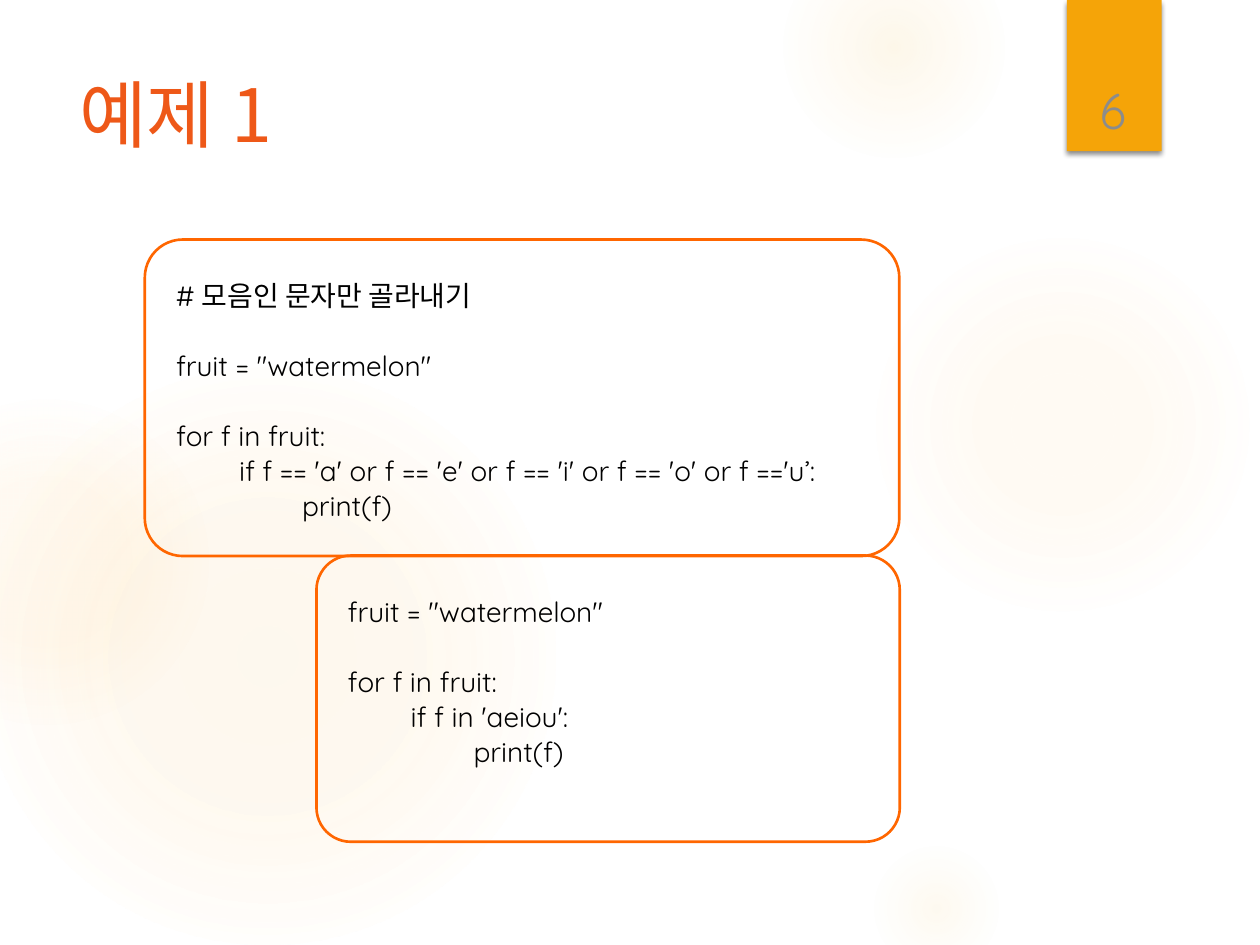
import pptx
import pptx.util
import pptx.dml.color
import pptx.enum.shapes
import pptx.enum.text
import pptx.oxml
import pptx.oxml.ns

Cm, Pt = pptx.util.Cm, pptx.util.Pt
RGBColor = pptx.dml.color.RGBColor
SHAPE = pptx.enum.shapes.MSO_SHAPE
ANCHOR = pptx.enum.text.MSO_ANCHOR
ALIGN = pptx.enum.text.PP_ALIGN
qn = pptx.oxml.ns.qn
NS = pptx.oxml.ns.nsdecls("a")

GLOW = RGBColor(0xFA, 0xC9, 0x6A)
GOLD = RGBColor(0xF5, 0xA4, 0x08)
TITLE = RGBColor(0xEE, 0x58, 0x18)
FRAME = RGBColor(0xFF, 0x66, 0x00)
BLACK = RGBColor(0, 0, 0)
GRAY = RGBColor(0x8C, 0x8C, 0x8C)
KOREAN, LATIN = "Noto Sans CJK KR", "Quicksand"

# Content: an empty code line becomes space above the next line
TITLE_TEXT = "예제 1"
PAGE = "6"
LONG_CODE = [
    "# 모음인 문자만 골라내기",
    "",
    'fruit = "watermelon"',
    "",
    "for f in fruit:",
    "\tif f == 'a' or f == 'e' or f == 'i' or f == 'o' or f =='u’:",
    "\t\tprint(f)",
]
SHORT_CODE = [
    'fruit = "watermelon"',
    "",
    "for f in fruit:",
    "\tif f in 'aeiou':",
    "\t\tprint(f)",
]
# Frame box, text box (left, top, width, height in cm), code
EXAMPLES = [
    ((2.92, 4.83, 15.21, 6.38), (3.3, 5.46, 16.23, 5.23), LONG_CODE),
    ((6.38, 11.2, 11.76, 5.77), (6.76, 11.84, 12.09, 3.81), SHORT_CODE),
]
# Left, top, diameter in cm; gradient stops (position %, opacity %)
GLOWS = [
    (17.5, 4.65, 7.82, [(0, 7), (36, 6), (69, 0)]),
    (15.8, -1.27, 4.45, [(0, 14), (36, 7), (73, 0)]),
    (17.5, 16.94, 2.74, [(0, 10), (31, 5), (66, 0)]),
    (-0.43, 7.42, 11.63, [(0, 11), (36, 10), (75, 0)]),
    (-2.34, 8.05, 6.55, [(0, 8), (36, 8), (72, 0)]),
]
LINE_PITCH = Pt(20)
TAB = Cm(1.27)


def add_shape(s, kind, box):
    sp = s.shapes.add_shape(kind, *map(Cm, box))
    sp.shadow.inherit = False
    sp.fill.background()
    sp.line.fill.background()
    return sp


def add_glow(s, left, top, size, stops):
    sp = add_shape(s, SHAPE.OVAL, (left, top, size, size))
    gs = "".join(
        f'<a:gs pos="{pos * 1000}"><a:srgbClr val="{GLOW}">'
        f'<a:alpha val="{alpha * 1000}"/></a:srgbClr></a:gs>'
        for pos, alpha in stops)
    grad = pptx.oxml.parse_xml(
        f'<a:gradFill {NS} rotWithShape="1"><a:gsLst>{gs}</a:gsLst>'
        '<a:path path="circle"><a:fillToRect l="50000" t="50000" r="50000" b="50000"/>'
        '</a:path></a:gradFill>')
    spPr = sp.element.spPr
    spPr.replace(spPr.find(qn("a:noFill")), grad)


def add_text(s, box, lines, font, color, anchor=ANCHOR.TOP, **paragraph):
    tf = s.shapes.add_textbox(*map(Cm, box)).text_frame
    tf.word_wrap = True
    tf.vertical_anchor = anchor
    gap = 0
    first = True
    for line in lines:
        if not line:
            gap += LINE_PITCH
            continue
        p = tf.paragraphs[0] if first else tf.add_paragraph()
        first = False
        for name, value in paragraph.items():
            setattr(p, name, value)
        if gap:
            p.space_before = gap
        gap = 0
        if "\t" in line:
            stops = "".join(f'<a:tab pos="{TAB * n}" algn="l"/>' for n in (1, 2))
            p._p.get_or_add_pPr().append(
                pptx.oxml.parse_xml(f"<a:tabLst {NS}>{stops}</a:tabLst>"))
        r = p.add_run()
        r.text = line
        for name, value in font.items():
            setattr(r.font, name, value)
        r.font.color.rgb = color
        r._r.get_or_add_rPr().append(
            pptx.oxml.parse_xml(f'<a:ea {NS} typeface="{KOREAN}"/>'))


prs = pptx.Presentation()
prs.slide_width, prs.slide_height = Cm(25.4), Cm(19.05)
s = prs.slides.add_slide(prs.slide_layouts[6])

# Background glows
for glow in GLOWS:
    add_glow(s, *glow)

# Page marker with a soft shadow
marker = add_shape(s, SHAPE.RECTANGLE, (21.51, 0, 1.91, 3.05))
marker.fill.solid()
marker.fill.fore_color.rgb = GOLD
marker.element.spPr.find(qn("a:effectLst")).append(pptx.oxml.parse_xml(
    f'<a:outerShdw {NS} blurRad="{Pt(3)}" dist="{Pt(2)}" dir="5400000" rotWithShape="0">'
    '<a:srgbClr val="000000"><a:alpha val="45000"/></a:srgbClr></a:outerShdw>'))

# Title
add_text(s, (1.35, 1.27, 19.61, 3.89), [TITLE_TEXT],
         {"name": KOREAN, "size": Pt(42)}, TITLE)

# Framed code examples
for frame, box, code in EXAMPLES:
    sp = add_shape(s, SHAPE.ROUNDED_RECTANGLE, frame)
    sp.adjustments[0] = 0.12
    sp.line.color.rgb = FRAME
    sp.line.width = Pt(1.5)
    add_text(s, box, code, {"name": LATIN, "size": Pt(16)}, BLACK,
             line_spacing=LINE_PITCH)

# Page number
add_text(s, (21.56, 0.81, 1.75, 2.13), [PAGE], {"name": LATIN, "size": Pt(28)},
         GRAY, ANCHOR.BOTTOM, alignment=ALIGN.CENTER)

prs.save("out.pptx")
